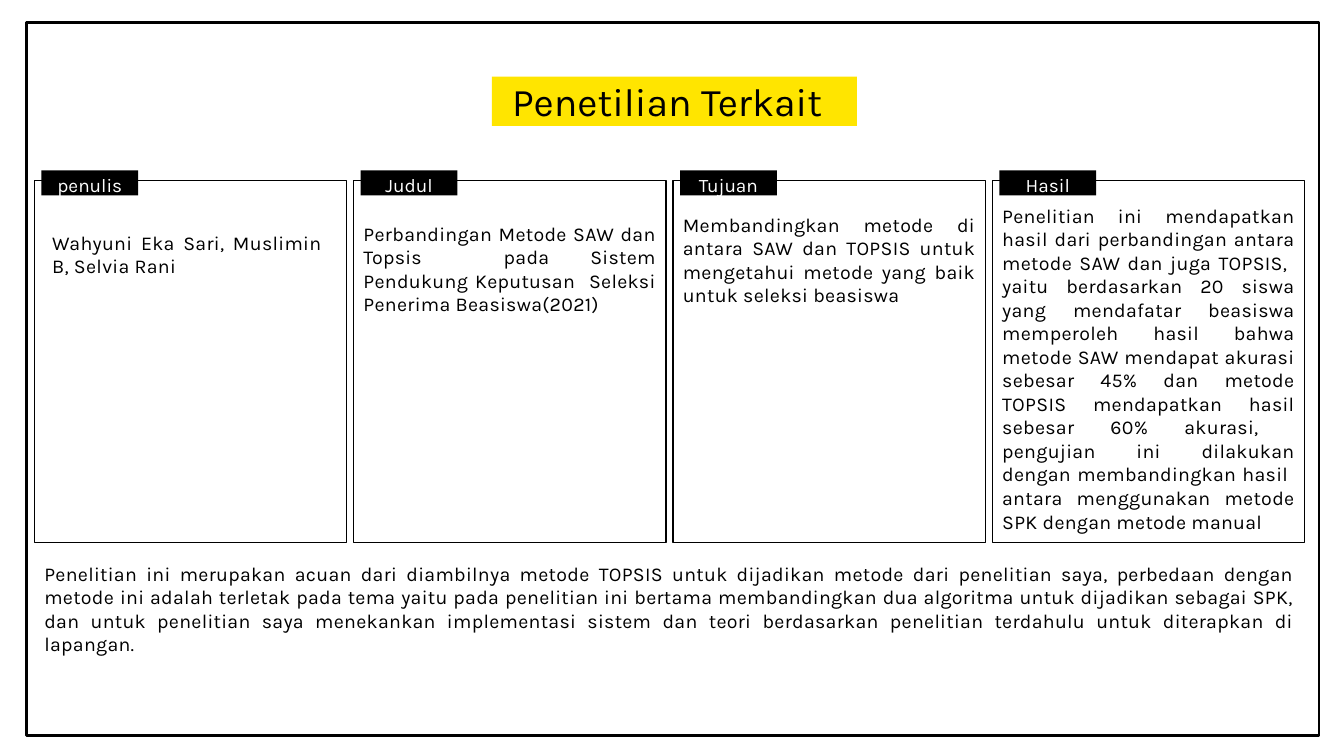
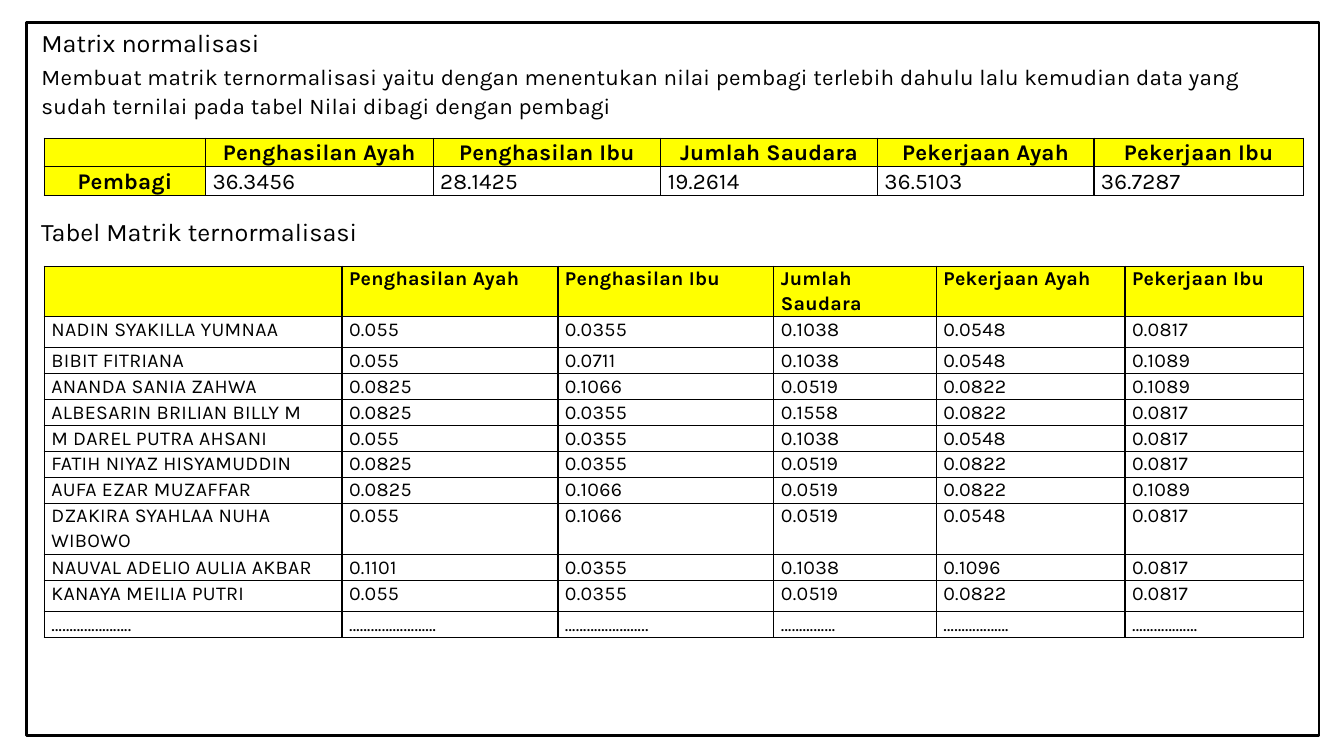
import pptx
import pptx.util
import pptx.dml.color
import pptx.enum.shapes
import pptx.enum.text
import lxml.etree

RGB = pptx.dml.color.RGBColor
BLACK = RGB(0x00, 0x00, 0x00)
WHITE = RGB(0xFF, 0xFF, 0xFF)
GOLD = RGB(0xFF, 0xE5, 0x00)
YELLOW = RGB(0xFF, 0xFF, 0x00)
FONT = "Karla"
ALIGN = pptx.enum.text.PP_ALIGN
ANCHOR = pptx.enum.text.MSO_ANCHOR
RECT = pptx.enum.shapes.MSO_SHAPE.RECTANGLE
Pt = pptx.util.Pt
WIDE = pptx.util.Inches(13.33)
HIGH = pptx.util.Inches(7.5)

HEAD = {"size": Pt(18)}
TITLE = {"size": Pt(28)}
TAG = {"size": Pt(13.6), "color": WHITE, "align": ALIGN.CENTER, "lead": Pt(19)}
PROSE = {"size": Pt(14), "align": ALIGN.JUSTIFY, "track": 20}
INTRO = {"size": Pt(16), "lead": 1.07, "track": 20}
CELL = {"size": Pt(14), "lead": 1.07, "track": 20}

# Heading, text, left and right padding in percent of the slide width
CARDS = [
    ("penulis", "Wahyuni Eka Sari, Muslimin B, Selvia Rani", (0.6, 1.12)),
    ("Judul", "Perbandingan Metode SAW dan Topsis  pada Sistem Pendukung "
     "Keputusan  Seleksi Penerima Beasiswa(2021)", (0, 0)),
    ("Tujuan", "Membandingkan metode di antara SAW dan TOPSIS untuk mengetahui "
     "metode yang baik untuk seleksi beasiswa", (0, 0)),
    ("Hasil", "Penelitian ini mendapatkan hasil dari perbandingan antara metode "
     "SAW dan juga TOPSIS,  yaitu berdasarkan 20 siswa yang mendafatar beasiswa "
     "memperoleh hasil bahwa metode SAW mendapat akurasi sebesar 45% dan metode "
     "TOPSIS mendapatkan hasil sebesar 60% akurasi,  pengujian ini dilakukan "
     "dengan membandingkan hasil  antara menggunakan metode SPK dengan metode "
     "manual", (0, 0)),
]
CLOSING = (
    "Penelitian ini merupakan acuan dari diambilnya metode TOPSIS untuk dijadikan "
    "metode dari penelitian saya, perbedaan dengan metode ini adalah terletak pada "
    "tema yaitu pada penelitian ini bertama membandingkan dua algoritma untuk "
    "dijadikan sebagai SPK, dan untuk penelitian saya menekankan implementasi "
    "sistem dan teori berdasarkan penelitian terdahulu untuk diterapkan di lapangan.")
STEPS = (
    "Membuat matrik ternormalisasi yaitu dengan menentukan nilai pembagi terlebih "
    "dahulu lalu kemudian data yang sudah ternilai pada tabel Nilai dibagi dengan "
    "pembagi")
FIELDS = ["", "Penghasilan Ayah", "Penghasilan Ibu", "Jumlah Saudara",
          "Pekerjaan Ayah", "Pekerjaan Ibu"]
DIVISOR = [
    FIELDS,
    ["Pembagi", "36.3456", "28.1425", "19.2614", "36.5103", "36.7287"],
]
MATRIX = [
    FIELDS,
    ["NADIN SYAKILLA YUMNAA", "0.055", "0.0355", "0.1038", "0.0548", "0.0817"],
    ["BIBIT FITRIANA", "0.055", "0.0711", "0.1038", "0.0548", "0.1089"],
    ["ANANDA SANIA ZAHWA", "0.0825", "0.1066", "0.0519", "0.0822", "0.1089"],
    ["ALBESARIN BRILIAN BILLY M", "0.0825", "0.0355", "0.1558", "0.0822", "0.0817"],
    ["M DAREL PUTRA AHSANI", "0.055", "0.0355", "0.1038", "0.0548", "0.0817"],
    ["FATIH NIYAZ HISYAMUDDIN", "0.0825", "0.0355", "0.0519", "0.0822", "0.0817"],
    ["AUFA EZAR MUZAFFAR", "0.0825", "0.1066", "0.0519", "0.0822", "0.1089"],
    ["DZAKIRA SYAHLAA NUHA WIBOWO", "0.055", "0.1066", "0.0519", "0.0548", "0.0817"],
    ["NAUVAL ADELIO AULIA AKBAR", "0.1101", "0.0355", "0.1038", "0.1096", "0.0817"],
    ["KANAYA MEILIA PUTRI", "0.055", "0.0355", "0.0519", "0.0822", "0.0817"],
    ["………………….", "……………………", "…………………..", "……………", "………………", "………………"],
]


def scale(box):
    """Turn percents of the slide (left, top, width, height) into lengths."""
    return [round(part * side / 100) for part, side in zip(box, (WIDE, HIGH) * 2)]


def apply(target, values):
    for name, value in values.items():
        setattr(target, name, value)


def write(frame, text, style, bold=False, **layout):
    """Put one styled paragraph in a text frame."""
    apply(frame, {"word_wrap": True, "vertical_anchor": ANCHOR.TOP, **layout})
    para = frame.paragraphs[0]
    apply(para, {"alignment": style.get("align", ALIGN.LEFT), "space_before": Pt(0),
                 "line_spacing": style.get("lead", 1.0)})
    if not text:
        para._p.get_or_add_endParaRPr().set("sz", str(style["size"] // 127))
        return
    run = para.add_run()
    run.text = text
    apply(run.font, {"name": FONT, "size": style["size"], "bold": bold})
    run.font.color.rgb = style.get("color", BLACK)
    if "track" in style:
        run._r.get_or_add_rPr().set("spc", str(style["track"]))


def fill(holder, box, text, style, **layout):
    """Move a placeholder to the box and write in it without a bullet."""
    apply(holder, dict(zip(("left", "top", "width", "height"), scale(box))))
    holder.text_frame.auto_size = pptx.enum.text.MSO_AUTO_SIZE.NONE
    write(holder.text_frame, text, style, **layout)
    props = holder.text_frame.paragraphs[0]._p.get_or_add_pPr()
    apply_xml = {"marL": "0", "indent": "0"}
    for name, value in apply_xml.items():
        props.set(name, value)
    lxml.etree.SubElement(props, pptx.oxml.ns.qn("a:buNone"))


def label(slide, box, text, style, **layout):
    write(slide.shapes.add_textbox(*scale(box)).text_frame, text, style, **layout)


def panel(slide, box, color=None, line=None):
    """Draw a rectangle, either filled or outlined."""
    shape = slide.shapes.add_shape(RECT, *scale(box))
    shape.shadow.inherit = False
    if color is None:
        shape.fill.background()
    else:
        shape.fill.solid()
        shape.fill.fore_color.rgb = color
    if line is None:
        shape.line.fill.background()
    else:
        shape.line.color.rgb = BLACK
        shape.line.width = Pt(line)
    return shape


def card(slide, box, head, text, pad, drop):
    """Draw an outlined column with a tag on its top edge."""
    left, top, width, height = box
    panel(slide, box, line=1)
    tag = panel(slide, (left + 0.53, top - 1.33, 7.2, 3.33), BLACK)
    write(tag.text_frame, head, TAG, vertical_anchor=ANCHOR.MIDDLE, margin_left=0,
          margin_right=0, margin_top=0, margin_bottom=0)
    near, far = pad
    label(slide, (left + near, top + drop, width - near - far, height - drop),
          text, PROSE)


def cards(slide, box):
    left, top, width, height = box
    wide = 23.25
    pitch = (width - wide) / (len(CARDS) - 1)
    for i, (head, text, pad) in enumerate(CARDS):
        card(slide, (left + i * pitch, top, wide, height), head, text, pad, 6 - 1.2 * i)


def border(cell):
    props = cell._tc.get_or_add_tcPr()
    for i, side in enumerate("LRTB"):
        line = lxml.etree.Element(pptx.oxml.ns.qn("a:ln" + side), w=str(Pt(1)))
        paint = lxml.etree.SubElement(line, pptx.oxml.ns.qn("a:solidFill"))
        lxml.etree.SubElement(paint, pptx.oxml.ns.qn("a:srgbClr"), val=str(BLACK))
        props.insert(i, line)


def grid(slide, box, data, cols, rows, style, keys=False):
    """Add a table; keys centres the headings and marks the first column too."""
    table = slide.shapes.add_table(len(data), len(cols), *scale(box)).table
    apply(table, {"first_row": False, "horz_banding": False})
    for col, share in zip(table.columns, cols):
        col.width = round(scale(box)[2] * share / sum(cols))
    for row, share in zip(table.rows, rows):
        row.height = round(HIGH * share / 100)
    side = pptx.util.Inches(0.07)
    for r, values in enumerate(data):
        for c, text in enumerate(values):
            cell = table.cell(r, c)
            apply(cell, {"margin_left": side, "margin_right": side,
                         "margin_top": 0, "margin_bottom": 0})
            head = r == 0 or (keys and c == 0)
            if head:
                cell.fill.solid()
                cell.fill.fore_color.rgb = YELLOW
            else:
                cell.fill.background()
            border(cell)
            align = ALIGN.CENTER if head and keys else ALIGN.LEFT
            write(cell.text_frame, text, {**style, "align": align}, bold=head)


def start(deck):
    """Add a slide with the shared outer frame."""
    slide = deck.slides.add_slide(deck.slide_layouts[1])
    panel(slide, (1.95, 2.93, 96.2, 94.4), line=2)
    return slide


def related(deck):
    slide = start(deck)
    title = slide.shapes.title
    title.fill.solid()
    title.fill.fore_color.rgb = GOLD
    fill(title, (36.6, 10.13, 27.15, 6.53), "Penetilian Terkait", TITLE,
         vertical_anchor=ANCHOR.MIDDLE, margin_left=pptx.util.Inches(0.2),
         margin_top=0, margin_bottom=0)
    cards(slide, (2.55, 23.87, 94.53, 47.87))
    fill(slide.placeholders[1], (2.55, 73.6, 94.53, 10.8), CLOSING, PROSE)


def matrix(deck):
    slide = start(deck)
    fill(slide.shapes.title, (2.33, 2.93, 30, 5.33), "Matrix normalisasi", HEAD)
    fill(slide.placeholders[1], (2.33, 7.47, 94.6, 8.93), STEPS, INTRO)
    grid(slide, (3.3, 18.27, 93.7, 7.6), DIVISOR,
         [1.6, 2.26, 2.26, 2.15, 2.15, 2.08], [3.8] * 2, INTRO, keys=True)
    label(slide, (2.33, 28, 30, 5.33), "Tabel Matrik ternormalisasi", HEAD)
    tall = {0: 6.67, 1: 4.13, 8: 6.8, 10: 4.13}
    rows = [tall.get(i, 3.43) for i in range(len(MATRIX))]
    grid(slide, (3.3, 35.2, 93.7, sum(rows)), MATRIX,
         [2.95, 2.14, 2.14, 1.61, 1.87, 1.77], rows, CELL)


def main():
    deck = pptx.Presentation()
    apply(deck, {"slide_width": WIDE, "slide_height": HIGH})
    related(deck)
    matrix(deck)
    deck.save("out.pptx")


if __name__ == "__main__":
    main()
